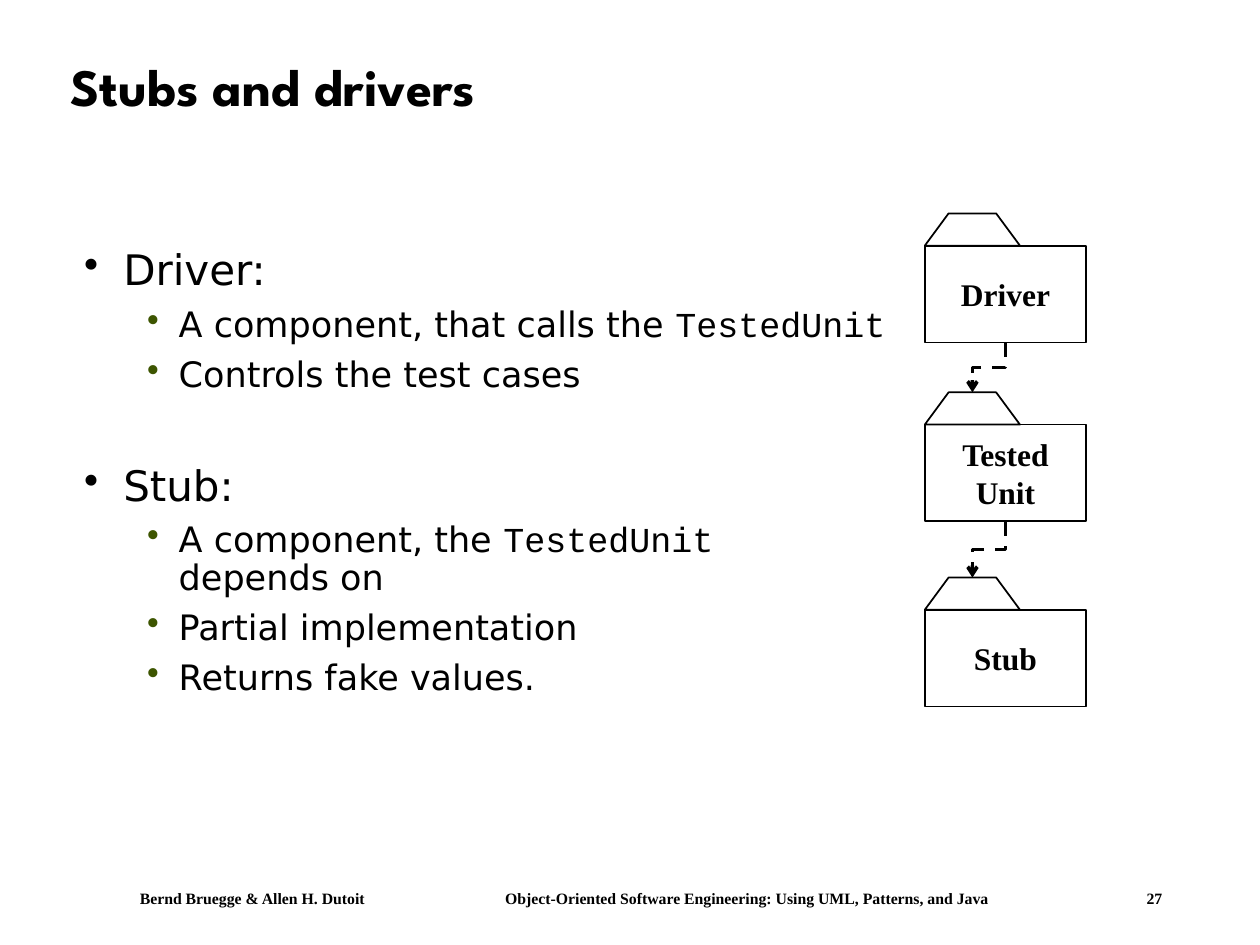
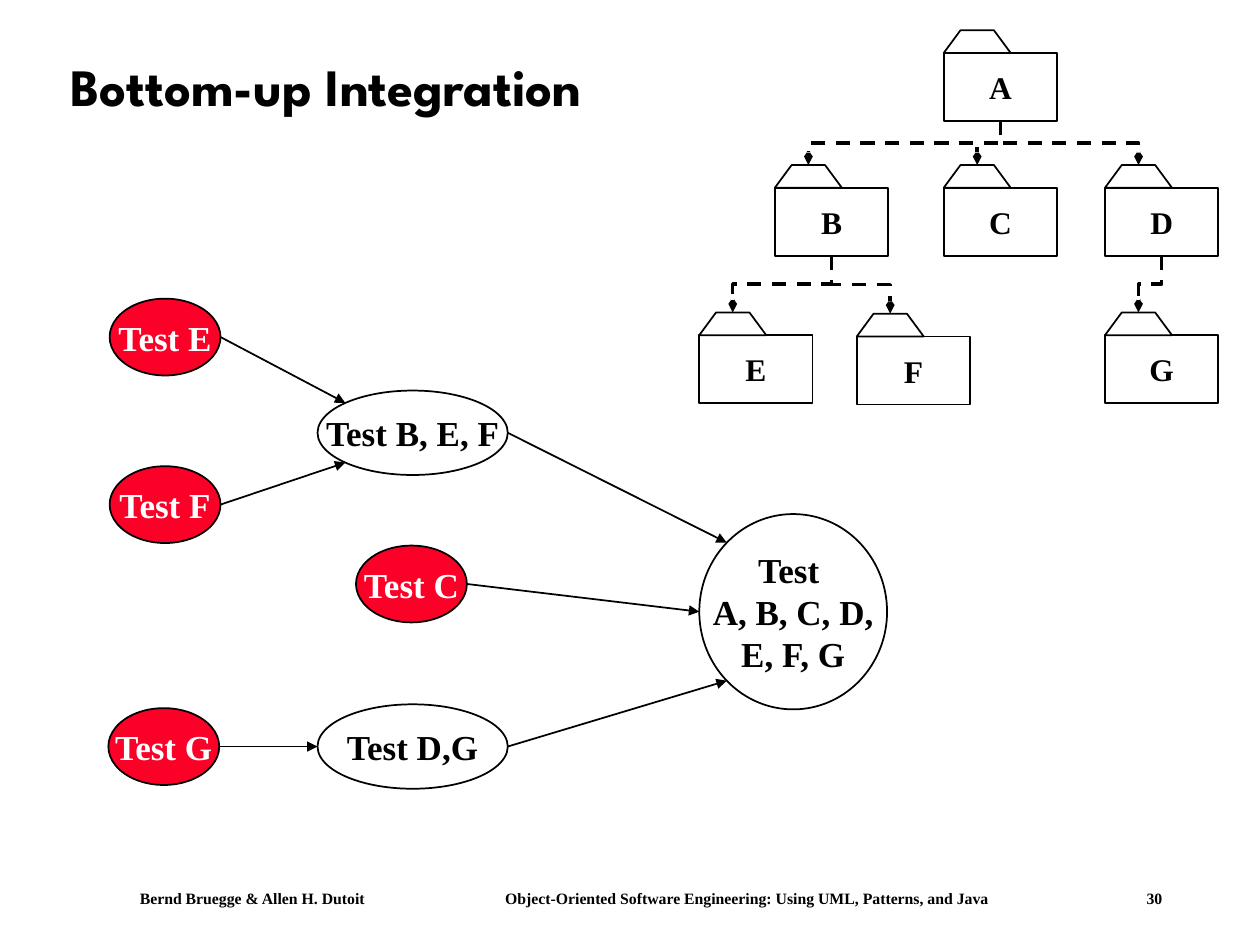
from math import cos, radians, sin

from lxml.etree import SubElement
from pptx import Presentation
from pptx.dml.color import RGBColor
from pptx.enum.dml import MSO_LINE as Dash
from pptx.enum.shapes import MSO_CONNECTOR as Link, MSO_SHAPE as Shape
from pptx.enum.text import MSO_ANCHOR as Anchor, PP_ALIGN as Align
from pptx.oxml.ns import qn
from pptx.util import Inches, Pt

COLORS = {"ink": "000000", "paper": "FFFFFF", "leaf": "FC0128", "sub_bullet": "3D5500"}
SERIF, SANS, MONO, DISPLAY = "Times New Roman", "DejaVu Sans", "Courier New", "League Spartan"

deck = Presentation()
deck.slide_width, deck.slide_height = Inches(10), Inches(7.5)
UNIT = deck.slide_width // 100


def write(frame, text, font=SERIF, size=18, color="ink", bold=True, align=Align.LEFT,
          leading=None, before=0, indent=None, hang=0, bullet=None, tabs=()):
    for line in text.split("\n"):
        para = frame.paragraphs[0]
        if para.runs:
            para = frame.add_paragraph()
        para.alignment = align
        para.line_spacing = leading
        para.space_before = Pt(before)
        props = para._p.get_or_add_pPr()
        if bullet:
            props.set("marL", str(round(indent * UNIT)))
            props.set("indent", str(round(-hang * UNIT)))
            tint = SubElement(props, qn("a:buClr"))
            SubElement(tint, qn("a:srgbClr"), val=COLORS[bullet])
            SubElement(props, qn("a:buChar"), char="•")
        if tabs:
            stops = SubElement(props, qn("a:tabLst"))
            for tab in tabs:
                SubElement(stops, qn("a:tab"), pos=str(round(tab * UNIT)), algn="l")
        for index, part in enumerate(line.split("`")):
            for row, piece in enumerate(part.split("\v")):
                if row:
                    para.add_line_break()
                if piece:
                    span = para.add_run()
                    span.text = piece
                    span.font.name = MONO if index % 2 else font
                    span.font.size, span.font.bold = Pt(size), bold
                    span.font.color.rgb = RGBColor.from_string(COLORS[color])


def connect(page, kind, ends, width, head, dash=None):
    line = page.shapes.add_connector(kind, *[round(v * UNIT) for v in ends])
    line.line.color.rgb = RGBColor.from_string(COLORS["ink"])
    line.line.width = Pt(width)
    if dash:
        line.line.dash_style = dash
    SubElement(line.line._get_or_add_ln(), qn("a:tailEnd"), **head)
    SubElement(line._element.spPr, qn("a:effectLst"))
    return line


pages = [
    {"title": "Stubs and drivers", "number": 27, "width": 12.8,
     "head": {"type": "arrow"},
     "folders": {"Driver": (73.4, 19.5), "Tested\nUnit": (73.4, 33.7), "Stub": (73.4, 48.4)},
     "calls": [("Driver", "Tested\nUnit"), ("Tested\nUnit", "Stub")]},
    {"title": "Bottom-up Integration", "number": 30, "width": 9,
     "head": {"type": "arrow", "w": "sm", "len": "med"},
     "folders": {"A": (74.9, 4.2), "B": (61.5, 14.9), "C": (74.9, 14.9), "D": (87.7, 14.9),
                 "E": (55.5, 26.6), "F": (68, 26.7), "G": (87.7, 26.6)},
     "calls": ["AB", "AC", "AD", "BE", "BF", "DG"]},
]

for content in pages:
    page = deck.slides.add_slide(deck.slide_layouts[6])
    bands = [
        ((4.6, 2.4, 89.2, 9.4), 1, content["title"],
         {"font": DISPLAY, "size": 30, "leading": 0.9}),
        ((5.8, 70, 91.7, 2.5), 0,
         "\tBernd Bruegge & Allen H. Dutoit"
         "\tObject-Oriented Software Engineering: Using UML, Patterns, and Java"
         f"\t{content['number']}",
         {"size": 9, "tabs": (5.3, 34.3, 85.2)}),
    ]
    for area, margin, text, style in bands:
        box = page.shapes.add_textbox(*[round(v * UNIT) for v in area])
        frame = box.text_frame
        frame.word_wrap, frame.vertical_anchor = True, Anchor.MIDDLE
        frame.margin_left = frame.margin_right = margin * UNIT
        frame.margin_top = frame.margin_bottom = margin * UNIT // 2
        write(frame, text, **style)

    width = content["width"]
    height, tab_width, tab_height = width * 0.6, width * 0.59, width * 0.2
    for caller, called in content["calls"]:
        left, top = content["folders"][caller]
        start_x, start_y = left + width / 2, top + height
        left, top = content["folders"][called]
        end_x, end_y = left + tab_width / 2, top - tab_height
        middle_x, middle_y = (start_x + end_x) / 2, (start_y + end_y) / 2
        drop, reach = (end_y - start_y) / 2, abs(end_x - start_x) / 2
        side = 1 if end_x > start_x else -1
        elbow = connect(page, Link.ELBOW,
                        (middle_x + side * drop, middle_y - reach,
                         middle_x - side * drop, middle_y + reach),
                        2, content["head"], Dash.DASH)
        elbow.rotation = 180 + side * 90

    for name, (left, top) in content["folders"].items():
        body = page.shapes.add_shape(
            Shape.RECTANGLE, *[round(v * UNIT) for v in (left, top, width, height)])
        outline = [(round((left + tab_width * across) * UNIT), round((top - tab_height * up) * UNIT))
                   for across, up in ((0, 0), (0.25, 1), (0.75, 1), (1, 0))]
        builder = page.shapes.build_freeform(*outline[0])
        builder.add_line_segments(outline[1:])
        for part in (body, builder.convert_to_shape()):
            part.shadow.inherit = False
            part.fill.solid()
            part.fill.fore_color.rgb = RGBColor.from_string(COLORS["paper"])
            part.line.color.rgb = RGBColor.from_string(COLORS["ink"])
            part.line.width = Pt(1)
        body.text_frame.word_wrap = False
        write(body.text_frame, name, align=Align.CENTER)

first, last = deck.slides

box = first.shapes.add_textbox(*[round(v * UNIT) for v in (5.7, 14.2, 87.5, 52.5)])
frame = box.text_frame
frame.word_wrap = True
frame.margin_top = round(5.6 * UNIT)
topics = [
    ("Driver:", ["A component, that calls the `TestedUnit`", "Controls the test cases"]),
    ("Stub:", ["A component, the `TestedUnit \v`depends on", "Partial implementation",
               "Returns fake values."]),
]
for index, (topic, points) in enumerate(topics):
    write(frame, topic, font=SANS, size=24, bold=False, leading=0.9, before=40 * index,
          indent=3.1, hang=3.1, bullet="ink")
    for point in points:
        write(frame, point, font=SANS, size=20, bold=False, leading=0.9, before=7,
              indent=7.5, hang=2.5, bullet="sub_bullet")

SIZES = {"leaf": (8.8, 6.1), "group": (15.1, 6.7), "all": (14.9, 15.5)}
tests = {
    "E": ("Test E", "leaf", 13.1, 26.75),
    "F": ("Test F", "leaf", 13.1, 40.05),
    "C": ("Test C", "leaf", 32.65, 46.35),
    "G": ("Test G", "leaf", 13, 59.25),
    "BEF": ("Test B, E, F", "group", 32.75, 34.35),
    "DG": ("Test D,G", "group", 32.75, 59.25),
    "ALL": ("Test \nA, B, C, D,\nE, F, G", "all", 62.95, 48.55),
}
for text, kind, center_x, center_y in tests.values():
    width, height = SIZES[kind]
    area = (center_x - width / 2, center_y - height / 2, width, height)
    oval = last.shapes.add_shape(Shape.OVAL, *[round(v * UNIT) for v in area])
    oval.shadow.inherit = False
    if kind == "leaf":
        oval.fill.solid()
        oval.fill.fore_color.rgb = RGBColor.from_string(COLORS["leaf"])
    else:
        oval.fill.background()
    oval.line.color.rgb = RGBColor.from_string(COLORS["ink"])
    oval.line.width = Pt(1)
    oval.text_frame.word_wrap = False
    write(oval.text_frame, text, size=20, align=Align.CENTER,
          color="paper" if kind == "leaf" else "ink")

steps = [("E", "BEF", -45), ("F", "BEF", 45), ("G", "DG", 0),
         ("BEF", "ALL", -45), ("C", "ALL", 0), ("DG", "ALL", 45)]
for source, target, angle in steps:
    _, kind, start_x, start_y = tests[source]
    start_x += SIZES[kind][0] / 2
    _, kind, end_x, end_y = tests[target]
    width, height = SIZES[kind]
    end_x -= width / 2 * cos(radians(angle))
    end_y += height / 2 * sin(radians(angle))
    connect(last, Link.STRAIGHT, (start_x, start_y, end_x, end_y), 1, {"type": "triangle"})

deck.save("out.pptx")
